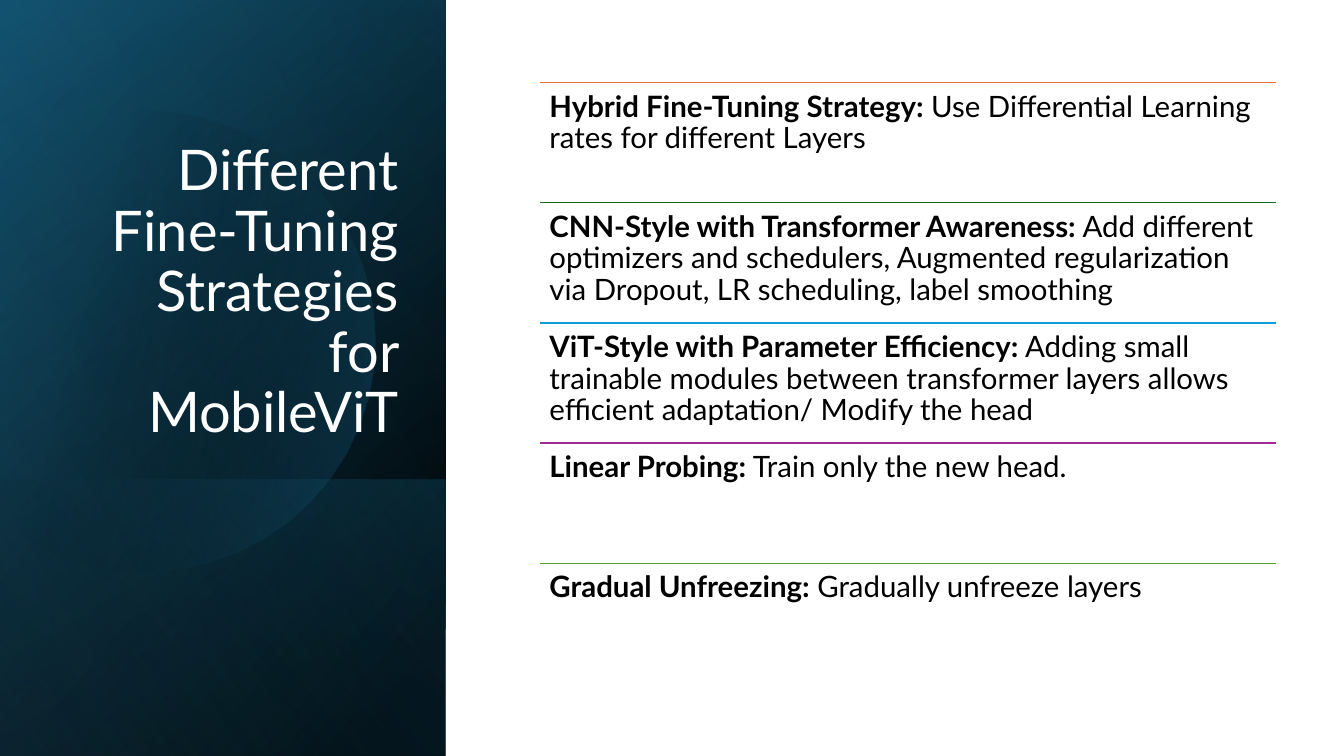
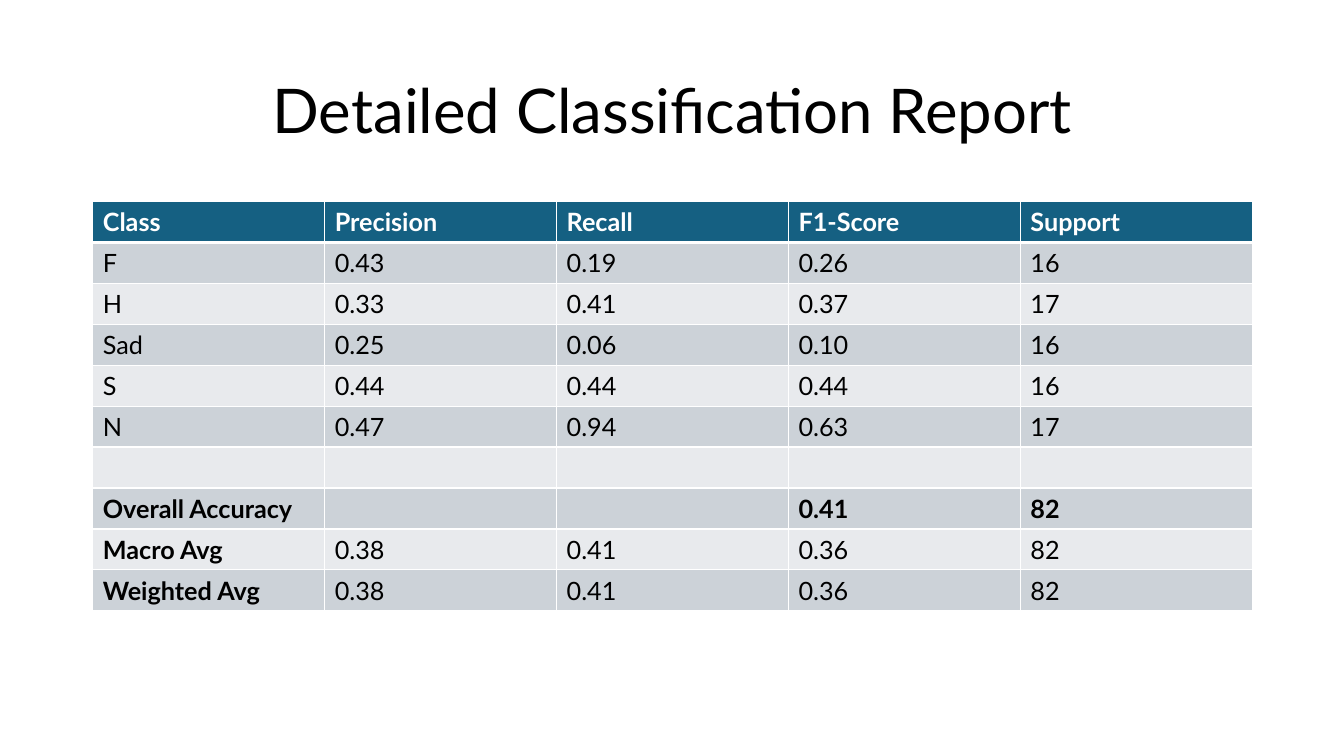
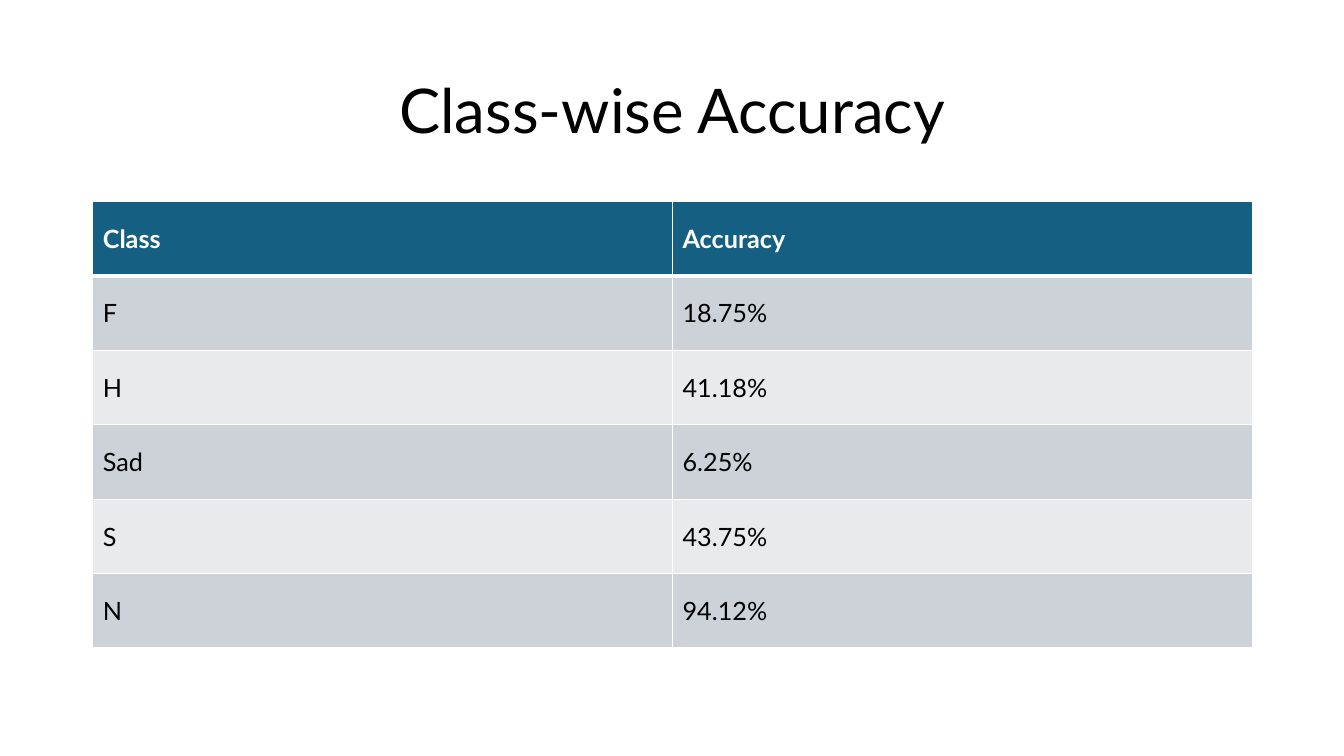
from pptx import Presentation
from pptx.dml.color import RGBColor as Rgb
from pptx.enum.shapes import MSO_CONNECTOR as Conn, MSO_SHAPE as Geom
from pptx.enum.text import MSO_ANCHOR as Anchor, PP_ALIGN as Align
from pptx.oxml import parse_xml
from pptx.oxml.ns import nsdecls
from pptx.util import Inches, Pt

FONT = "Lato"
COLORS = {
    "white": "FFFFFF", "black": "000000", "blue": "156082", "navy": "104862",
    "sky": "46B1E1", "dark": "CCD2D8", "light": "E8EAED",
    "orange": "E97132", "green": "196B24", "cyan": "0F9ED5",
    "purple": "A02B93", "lime": "4EA72E",
}
PANEL = (0, 0, 4.42, 7.5)
TITLE = (0.92, 0.4, 11.5, 1.45)
TOPICS = [
    ("orange", "Hybrid Fine-Tuning Strategy:",
     " Use Differential Learning rates for different Layers"),
    ("green", "CNN-Style with Transformer Awareness:",
     " Add different optimizers and schedulers, Augmented regularization"
     " via Dropout, LR scheduling, label smoothing"),
    ("cyan", "ViT-Style with Parameter Efficiency:",
     " Adding small trainable modules between transformer layers allows"
     " efficient adaptation/ Modify the head"),
    ("purple", "Linear Probing:", " Train only the new head."),
    ("lime", "Gradual Unfreezing:", " Gradually unfreeze layers"),
]
REPORT = [
    ["Class", "Precision", "Recall", "F1-Score", "Support"],
    ["F", "0.43", "0.19", "0.26", "16"],
    ["H", "0.33", "0.41", "0.37", "17"],
    ["Sad", "0.25", "0.06", "0.10", "16"],
    ["S", "0.44", "0.44", "0.44", "16"],
    ["N", "0.47", "0.94", "0.63", "17"],
    ["", "", "", "", ""],
    ["Overall Accuracy", "", "", "0.41", "82"],
    ["Macro Avg", "0.38", "0.41", "0.36", "82"],
    ["Weighted Avg", "0.38", "0.41", "0.36", "82"],
]
REPORT_BOLD = {(7, 0), (7, 3), (7, 4), (8, 0), (9, 0)}
ACCURACY = [
    ["Class", "Accuracy"],
    ["F", "18.75%"],
    ["H", "41.18%"],
    ["Sad", "6.25%"],
    ["S", "43.75%"],
    ["N", "94.12%"],
]
DISC = [
    [(1.49, 1.1), (2.46, 1.12), (3.35, 1.77), (3.63, 2.75)],
    [(3.63, 2.75), (3.98, 3.97), (3.28, 5.23), (2.07, 5.58)],
    [(2.07, 5.58), (1.31, 5.8), (0.53, 5.61), (-0.03, 5.14)],
    [(-0.15, 5.03), (-0.15, 5.03), (-0.15, 1.75), (-0.15, 1.75)],
    [(0, 1.61), (0.23, 1.42), (0.5, 1.28), (0.8, 1.19)],
    [(0.8, 1.19), (1.03, 1.13), (1.26, 1.1), (1.49, 1.1)],
]


def rgb(name):
    return Rgb.from_string(COLORS[name])


def style(run, size, color, bold=False):
    font = run.font
    font.name, font.size, font.bold = FONT, Pt(size), bold
    font.color.rgb = rgb(color)


def add_text(slide, box, parts, size, color, align=Align.LEFT,
             anchor=Anchor.TOP, inset=None):
    frame = slide.shapes.add_textbox(*map(Inches, box)).text_frame
    frame.word_wrap = True
    frame.vertical_anchor = anchor
    if inset is not None:
        frame.margin_left = frame.margin_right = Inches(inset)
        frame.margin_top = frame.margin_bottom = Inches(inset)
    para = frame.paragraphs[0]
    para.alignment, para.line_spacing = align, 0.9
    for text, bold in parts:
        run = para.add_run()
        run.text = text
        style(run, size, color, bold)


def shade(shape, stops, angle):
    marks = "".join(
        f'<a:gs pos="{pos * 1000}"><a:srgbClr val="{COLORS[name]}">'
        f'<a:alpha val="{alpha * 1000}"/></a:srgbClr></a:gs>'
        for pos, name, alpha in stops)
    shape.element.spPr.append(parse_xml(
        f'<a:gradFill {nsdecls("a")} rotWithShape="1"><a:gsLst>{marks}</a:gsLst>'
        f'<a:lin ang="{angle * 60000}" scaled="0"/></a:gradFill>'))
    shape.line.fill.background()
    shape.shadow.inherit = False


def add_layer(slide, box, stops, angle):
    left, top, width, height = box
    shift = (width - height) / 2
    rect = slide.shapes.add_shape(
        Geom.RECTANGLE, Inches(left + shift), Inches(top - shift),
        Inches(height), Inches(width))
    rect.rotation = 90
    rect.element.spPr.xfrm.set("flipH", "1")
    shade(rect, stops, angle)


def curve(ends, steps=12):
    for i in range(steps + 1):
        t = i / steps
        mix = ((1 - t) ** 3, 3 * t * (1 - t) ** 2, 3 * t * t * (1 - t), t ** 3)
        yield tuple(sum(m * p[k] for m, p in zip(mix, ends)) for k in (0, 1))


def add_disc(slide, left, top):
    points = [(Inches(left + x), Inches(top + y))
              for ends in DISC for x, y in curve(ends)]
    path = slide.shapes.build_freeform(*points[0])
    path.add_line_segments(points[1:], close=True)
    shade(path.convert_to_shape(), [(29, "black", 0), (100, "blue", 43)], 14)


def add_panel(slide, box, title):
    left, top, width, height = box
    foot = 2.74
    add_layer(slide, box, [(8, "black", 100), (100, "navy", 100)], 50)
    add_layer(slide, box, [(0, "black", 0), (99, "blue", 46)], 30)
    add_layer(slide, (left, top + height - foot, width, foot),
              [(2, "blue", 29), (100, "black", 30)], 130)
    add_disc(slide, left, top)
    add_layer(slide, box, [(0, "black", 0), (99, "sky", 11)], 120)
    add_text(slide, (left + 0.68, top + 1.84, 3.37, 2.62), [(title, False)],
             40, "white", Align.RIGHT, Anchor.BOTTOM)


def add_topics(slide, box, topics):
    left, top, width, height = box
    step = height / len(topics)
    for i, (color, head, body) in enumerate(topics):
        y = top + i * step
        rule = slide.shapes.add_connector(
            Conn.STRAIGHT, Inches(left), Inches(y), Inches(left + width), Inches(y))
        rule.line.color.rgb, rule.line.width = rgb(color), Pt(1)
        rule.element.spPr.append(parse_xml(f'<a:effectLst {nsdecls("a")}/>'))
        add_text(slide, (left, y, width, step), [(head, True), (body, False)],
                 21, "black", inset=0.09)


def add_edges(cell, row):
    widths = {"L": 1, "R": 1, "T": 3 if row == 1 else 1, "B": 1 if row else 3}
    props = cell._tc.get_or_add_tcPr()
    for side, width in widths.items():
        props.append(parse_xml(
            f'<a:ln{side} {nsdecls("a")} w="{Pt(width)}"><a:solidFill>'
            f'<a:srgbClr val="{COLORS["white"]}"/></a:solidFill></a:ln{side}>'))


def add_grid(slide, box, rows, bold=()):
    width, height = box[2:]
    table = slide.shapes.add_table(
        len(rows), len(rows[0]), *map(Inches, box)).table
    table.first_row = table.horz_banding = False
    for col in table.columns:
        col.width = Inches(width / len(rows[0]))
    for r, texts in enumerate(rows):
        table.rows[r].height = Inches(height / len(rows))
        fill = ("light" if r % 2 == 0 else "dark") if r else "blue"
        for c, text in enumerate(texts):
            cell = table.cell(r, c)
            add_edges(cell, r)
            cell.fill.solid()
            cell.fill.fore_color.rgb = rgb(fill)
            cell.vertical_anchor = Anchor.MIDDLE
            if text:
                cell.text_frame.text = text
                style(cell.text_frame.paragraphs[0].runs[0], 18,
                      "black" if r else "white", r == 0 or (r, c) in bold)


def topic_slide(slide):
    add_panel(slide, PANEL, "Different Fine-Tuning Strategies for MobileViT")
    add_topics(slide, (5.36, 0.82, 7.3, 5.96), TOPICS)


def table_slide(slide, title, height, rows, bold=()):
    add_text(slide, TITLE, [(title, False)], 44, "black",
             Align.CENTER, Anchor.MIDDLE)
    add_grid(slide, (TITLE[0], 2, TITLE[2], height), rows, bold)


def main():
    deck = Presentation()
    deck.slide_width, deck.slide_height = Inches(13.33), Inches(7.5)
    first, second, third = (
        deck.slides.add_slide(deck.slide_layouts[6]) for _ in range(3))
    topic_slide(first)
    table_slide(second, "Detailed Classification Report", 4.06, REPORT, REPORT_BOLD)
    table_slide(third, "Class-wise Accuracy", 4.43, ACCURACY)
    deck.save("out.pptx")


if __name__ == "__main__":
    main()
